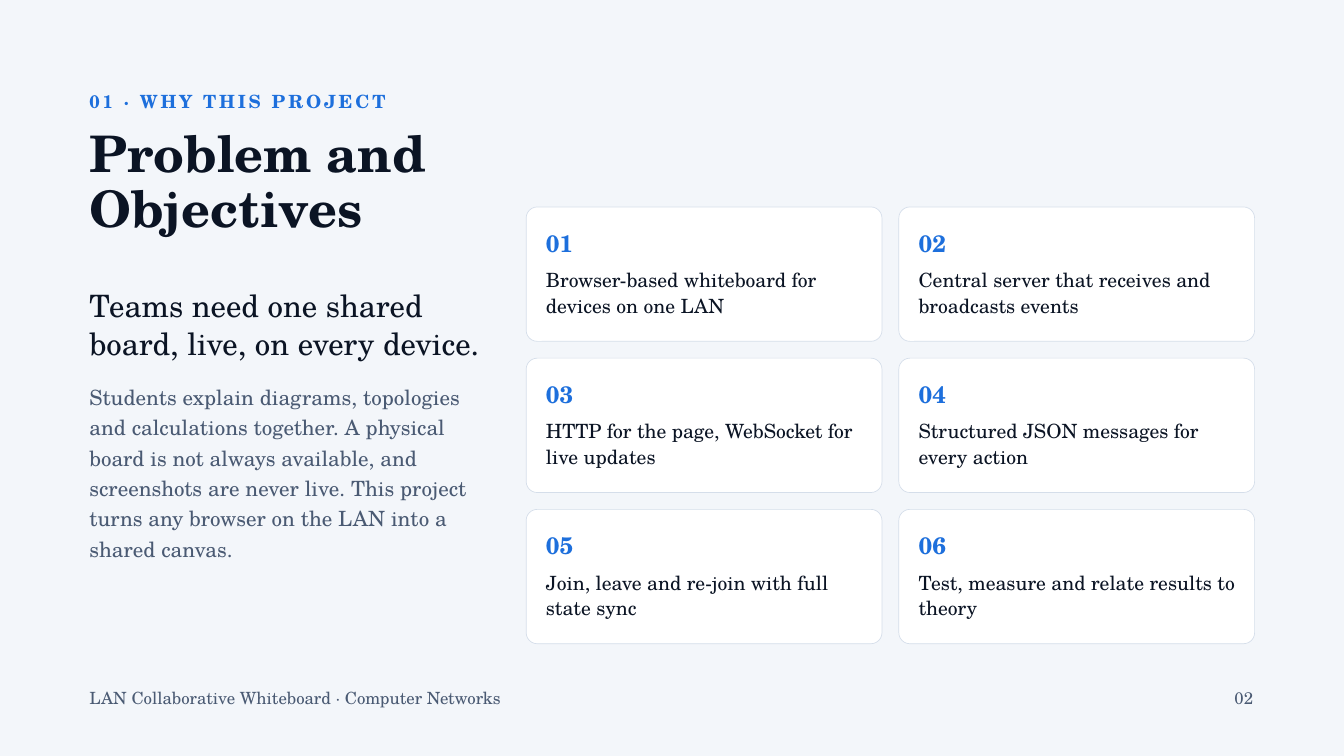
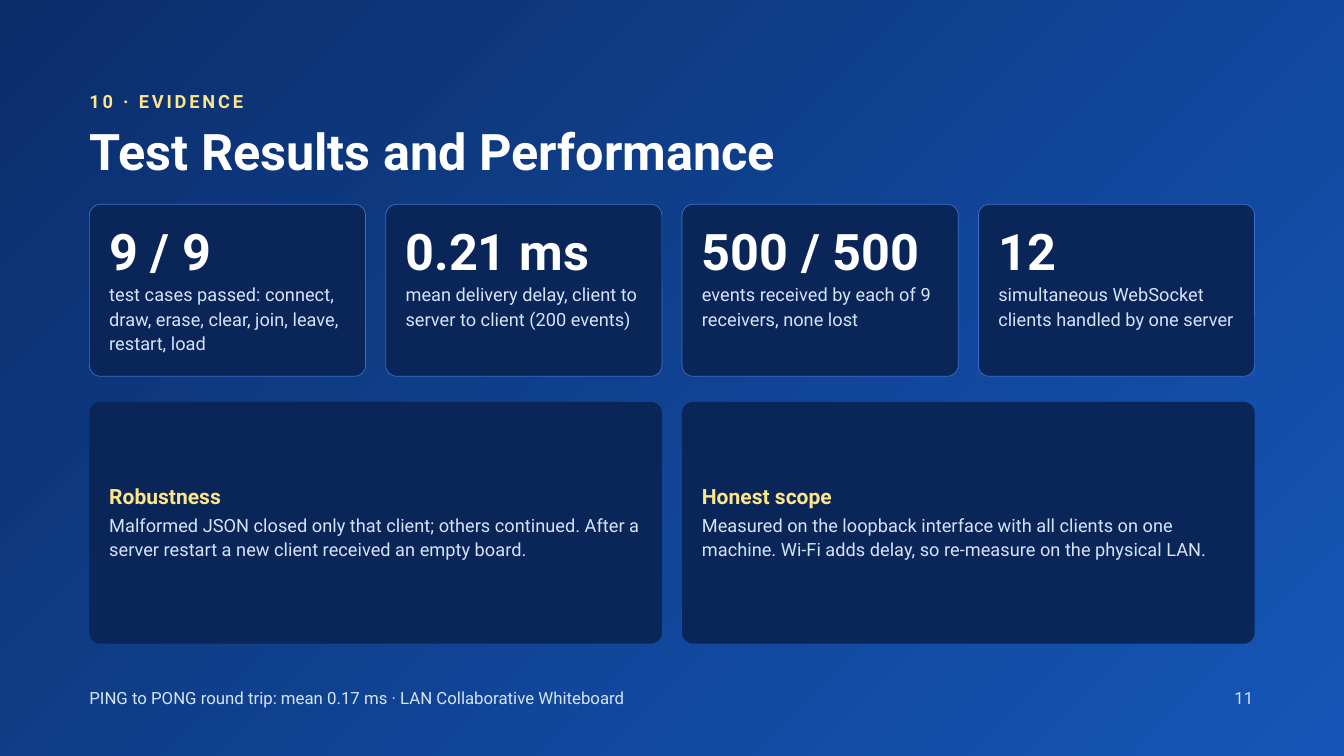
from dataclasses import dataclass

from pptx import Presentation
from pptx.dml.color import RGBColor
from pptx.enum import shapes, text
from pptx.util import Inches, Pt

OBJECTIVES = {
    "kicker": "01 · WHY THIS PROJECT",
    "title": "Problem and Objectives",
    "lead": "Teams need one shared board, live, on every device.",
    "body": "Students explain diagrams, topologies and calculations together. "
            "A physical board is not always available, and screenshots are never live. "
            "This project turns any browser on the LAN into a shared canvas.",
    "goals": [
        "Browser-based whiteboard for devices on one LAN",
        "Central server that receives and broadcasts events",
        "HTTP for the page, WebSocket for live updates",
        "Structured JSON messages for every action",
        "Join, leave and re-join with full state sync",
        "Test, measure and relate results to theory",
    ],
    "footer": "LAN Collaborative Whiteboard · Computer Networks",
    "page": "02",
}
RESULTS = {
    "kicker": "10 · EVIDENCE",
    "title": "Test Results and Performance",
    "metrics": [
        ("9 / 9", "test cases passed: connect, draw, erase, clear, join, leave, restart, load"),
        ("0.21 ms", "mean delivery delay, client to server to client (200 events)"),
        ("500 / 500", "events received by each of 9 receivers, none lost"),
        ("12", "simultaneous WebSocket clients handled by one server"),
    ],
    "findings": [
        ("Robustness", "Malformed JSON closed only that client; others continued. "
                       "After a server restart a new client received an empty board."),
        ("Honest scope", "Measured on the loopback interface with all clients on one machine. "
                         "Wi-Fi adds delay, so re-measure on the physical LAN."),
    ],
    "footer": "PING to PONG round trip: mean 0.17 ms · LAN Collaborative Whiteboard",
    "page": "11",
}


@dataclass(frozen=True)
class Theme:
    font: str
    back: str
    ink: str
    muted: str
    accent: str
    card: str
    border: str


LIGHT = Theme("TeX Gyre Schola", "F3F6FA", "0B1424", "4A5A73", "1D6FDC", "FFFFFF", "D5DEEA")
DARK = Theme("Roboto", "0B2E6B", "FFFFFF", "D6E4FA", "FDE68A", "0A2557", "3B6FC9")
GLOW = "1556B8"

# role: (size, line spacing, bold, theme colour), sizes in points
STYLES = {
    "kicker": (19.5, 27.3, True, "accent"),
    "title": (54, 59.4, True, "ink"),
    "lead": (33, 41.2, False, "ink"),
    "body": (22.5, 32.6, False, "muted"),
    "number": (25.5, 35.7, True, "accent"),
    "goal": (21, 27.3, False, "ink"),
    "metric": (54, 56.7, True, "ink"),
    "caption": (19.5, 26.3, False, "muted"),
    "heading": (22.5, 27, True, "accent"),
    "footer": (18, 25.2, False, "muted"),
}
KICKER_SPACING = "300"
WIDTH, HEIGHT = 20, 11.25
LEFT, RIGHT = 1.33, 18.67
PAD, RADIUS = 0.295, 0.165


def write(slide, theme, role, words, left, top, width, height):
    size, leading, bold, colour = STYLES[role]
    box = slide.shapes.add_textbox(*map(Inches, (left, top, width, height)))
    frame = box.text_frame
    settings = {"word_wrap": True, "auto_size": text.MSO_AUTO_SIZE.SHAPE_TO_FIT_TEXT,
                "margin_left": 0, "margin_right": 0, "margin_top": 0, "margin_bottom": 0}
    for key, value in settings.items():
        setattr(frame, key, value)
    paragraph = frame.paragraphs[0]
    paragraph.line_spacing = Pt(leading)
    run = paragraph.add_run()
    run.text = words
    for key, value in {"name": theme.font, "size": Pt(size), "bold": bold}.items():
        setattr(run.font, key, value)
    run.font.color.rgb = RGBColor.from_string(getattr(theme, colour))
    if role == "kicker":
        run.font._element.set("spc", KICKER_SPACING)


def add_card(slide, theme, left, top, width, height, outlined=True):
    card = slide.shapes.add_shape(shapes.MSO_SHAPE.ROUNDED_RECTANGLE,
                                  *map(Inches, (left, top, width, height)))
    card.adjustments[0] = RADIUS / min(width, height)
    card.shadow.inherit = False
    card.fill.solid()
    card.fill.fore_color.rgb = RGBColor.from_string(theme.card)
    if outlined:
        card.line.color.rgb = RGBColor.from_string(theme.border)
        card.line.width = Pt(0.75)
    else:
        card.line.fill.background()


def columns(left, count, gap):
    """Left edges and common width of equal columns reaching the right margin."""
    width = (RIGHT - left - gap * (count - 1)) / count
    return [left + i * (width + gap) for i in range(count)], width


def add_gradient(slide):
    """Cover the slide with a diagonal gradient, dark at the top left."""
    cover = slide.shapes.add_shape(shapes.MSO_SHAPE.RECTANGLE, 0, 0, Inches(WIDTH), Inches(HEIGHT))
    cover.shadow.inherit = False
    cover.line.fill.background()
    cover.fill.gradient()
    cover.fill.gradient_angle = 315
    for stop, place, colour in zip(cover.fill.gradient_stops, (0, 1), (DARK.back, GLOW)):
        stop.position = place
        stop.color.rgb = RGBColor.from_string(colour)


def start_slide(deck, theme, content, title_top, title_width):
    slide = deck.slides.add_slide(deck.slide_layouts[6])
    fill = slide.background.fill
    fill.solid()
    fill.fore_color.rgb = RGBColor.from_string(theme.back)
    if theme is DARK:
        add_gradient(slide)
    write(slide, theme, "kicker", content["kicker"], LEFT, 1.29, 17.85, 0.36)
    write(slide, theme, "title", content["title"], LEFT, title_top, title_width, 0.85)
    write(slide, theme, "footer", content["footer"], LEFT, 10.19, 9.72, 0.34)
    write(slide, theme, "footer", content["page"], 18.37, 10.19, 0.38, 0.34)
    return slide


def build_objectives(deck):
    slide = start_slide(deck, LIGHT, OBJECTIVES, 1.89, 8.26)
    write(slide, LIGHT, "lead", OBJECTIVES["lead"], LEFT, 4.24, 6.01, 1.13)
    write(slide, LIGHT, "body", OBJECTIVES["body"], LEFT, 5.64, 6.01, 2.21)
    gap, height = 0.25, 2
    lefts, width = columns(7.83, 2, gap)
    for i, goal in enumerate(OBJECTIVES["goals"]):
        row, column = divmod(i, 2)
        left, top = lefts[column], 3.08 + row * (height + gap)
        add_card(slide, LIGHT, left, top, width, height)
        write(slide, LIGHT, "number", f"{i + 1:02}", left + PAD, top + 0.25, 4.84, 0.47)
        write(slide, LIGHT, "goal", goal, left + PAD, top + 0.88, 4.84, 0.74)


def build_results(deck):
    slide = start_slide(deck, DARK, RESULTS, 1.86, 17.85)
    gap = 0.3
    lefts, width = columns(LEFT, 4, gap)
    for left, (value, caption) in zip(lefts, RESULTS["metrics"]):
        add_card(slide, DARK, left, 3.04, width, 2.56)
        write(slide, DARK, "metric", value, left + PAD, 3.39, 3.62, 0.78)
        write(slide, DARK, "caption", caption, left + PAD, 4.18, 3.62, 1.17)
    lefts, width = columns(LEFT, 2, gap)
    for left, (heading, finding) in zip(lefts, RESULTS["findings"]):
        add_card(slide, DARK, left, 5.98, width, 3.6, outlined=False)
        write(slide, DARK, "heading", heading, left + PAD, 7.19, 8.18, 0.42)
        write(slide, DARK, "caption", finding, left + PAD, 7.61, 8.18, 0.8)


def main():
    deck = Presentation()
    deck.slide_width, deck.slide_height = Inches(WIDTH), Inches(HEIGHT)
    build_objectives(deck)
    build_results(deck)
    deck.save("out.pptx")


if __name__ == "__main__":
    main()
